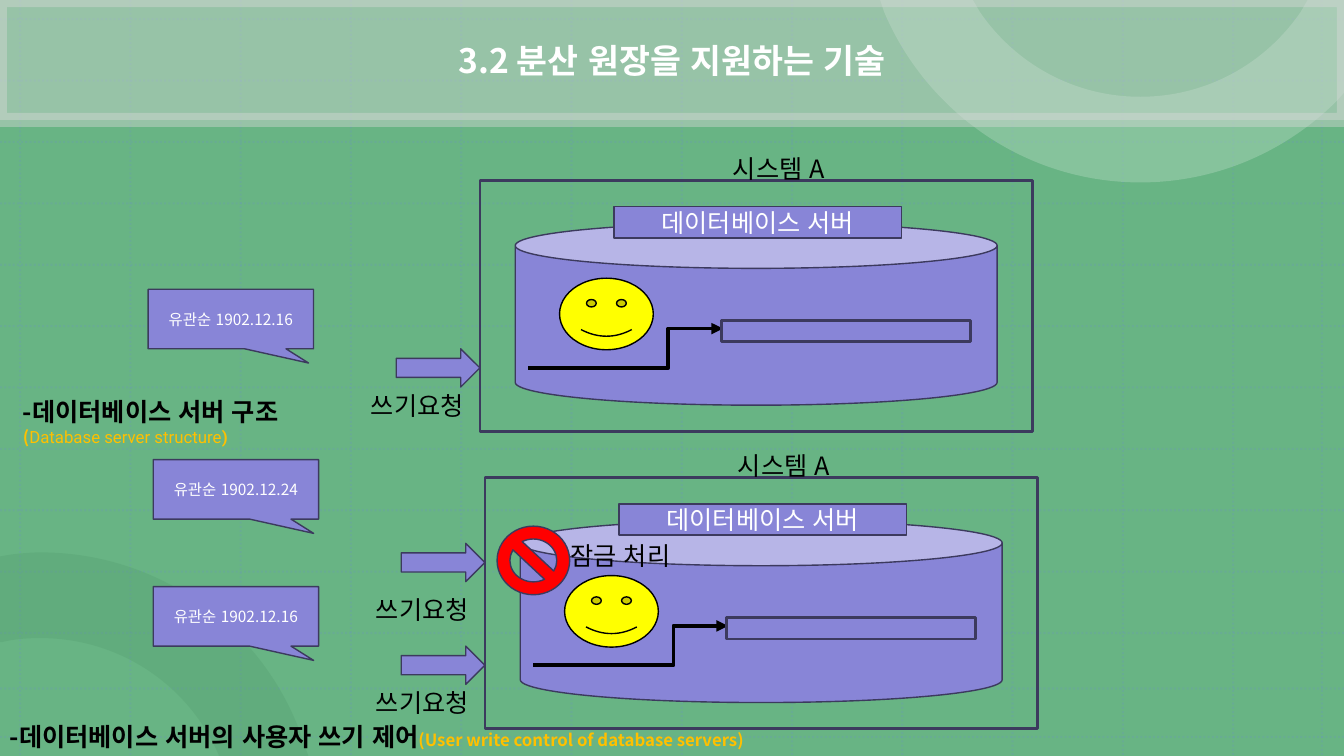
"""Draw the slide on database servers and write control."""
from pptx import Presentation
from pptx.dml.color import RGBColor as RGB
from pptx.enum.dml import MSO_LINE as Dash
from pptx.enum.lang import MSO_LANGUAGE_ID as Lang
from pptx.enum.shapes import MSO_CONNECTOR as Link, MSO_SHAPE as Kind
from pptx.enum.text import MSO_ANCHOR as Anchor, MSO_AUTO_SIZE as Auto, PP_ALIGN as Align
from pptx.oxml.ns import qn
from pptx.oxml.xmlchemy import OxmlElement as Node
from pptx.util import Inches, Pt

WIDE, HIGH = 13.33, 7.5
FONT = "Noto Sans CJK KR"
LILAC, NAVY, BLACK, WHITE, GOLD = "8885D7", "3C3A5E", "000000", "FFFFFF", "FFC000"
LOW = [[(0.4, 5.48)], [(1.64, 5.48), (2.69, 6.3), (3.03, 7.42)], [(3.06, 7.5)],
       [(2.17, 7.5)], [(2.17, 7.49)], [(1.88, 6.81), (1.2, 6.33), (0.4, 6.33)],
       [(0.27, 6.33), (0.14, 6.34), (0.02, 6.37)], [(0, 6.37)], [(0, 5.52)],
       [(0.12, 5.5)], [(0.21, 5.49), (0.31, 5.48), (0.4, 5.48)]]
TOP = [[(8.73, 0)], [(9.65, 0)], [(9.72, 0.12)],
       [(10.07, 0.63), (10.65, 0.96), (11.31, 0.96)],
       [(11.97, 0.96), (12.55, 0.63), (12.9, 0.12)], [(12.97, 0)], [(13.33, 0)],
       [(13.33, 0.92)], [(13.26, 1)], [(12.76, 1.5), (12.07, 1.81), (11.31, 1.81)],
       [(10.17, 1.81), (9.19, 1.11), (8.77, 0.12)]]


def color(code):
    return RGB.from_string(code)


def fade(item, share):
    for tone in item._element.spPr.iter(qn("a:srgbClr")):
        alpha = Node("a:alpha")
        alpha.set("val", str(share * 1000))
        tone.append(alpha)


def write(para, text, size=18, tint=BLACK, bold=False, face=FONT):
    run = para.add_run()
    run.text = text
    font = run.font
    font.size, font.bold, font.name = Pt(size), bold, face
    font.language_id = Lang.KOREAN
    font.color.rgb = color(tint)
    east = Node("a:ea")
    east.set("typeface", face)
    font._element.append(east)


class Art:
    def __init__(self, slide):
        self.slide = slide
        self.group()

    def group(self, new=False, dx=0, dy=0):
        tree = self.slide.shapes
        self.to = tree.add_group_shape().shapes if new else tree
        self.dx, self.dy = dx, dy

    def place(self, x, y):
        return Inches(x + self.dx), Inches(y + self.dy)

    def paint(self, item, fill, edge, width, share):
        item.shadow.inherit = False
        if fill:
            item.fill.solid()
            item.fill.fore_color.rgb = color(fill)
        else:
            item.fill.background()
        if edge:
            item.line.color.rgb = color(edge)
            item.line.width = Pt(width)
        else:
            item.line.fill.background()
        if share:
            fade(item, share)

    def shape(self, kind, x, y, w, h, fill=LILAC, edge=NAVY, width=1,
              share=None, bends=(), text=None, **style):
        item = self.to.add_shape(kind, *self.place(x, y), Inches(w), Inches(h))
        for i, bend in enumerate(bends):
            item.adjustments[i] = bend
        self.paint(item, fill, edge, width, share)
        if text:
            frame = item.text_frame
            frame.vertical_anchor = Anchor.MIDDLE
            para = frame.paragraphs[0]
            para.alignment = Align.CENTER
            write(para, text, **{"tint": WHITE, **style})

    def label(self, x, y, w, h, *rows):
        frame = self.to.add_textbox(*self.place(x, y), Inches(w), Inches(h)).text_frame
        frame.word_wrap = True
        frame.auto_size = Auto.SHAPE_TO_FIT_TEXT
        for i, row in enumerate(rows):
            para = frame.add_paragraph() if i else frame.paragraphs[0]
            for text, style in row:
                write(para, text, **style)

    def line(self, kind, start, end, tint, width):
        item = self.to.add_connector(kind, *self.place(*start), *self.place(*end))
        item.line.color.rgb = color(tint)
        item.line.width = Pt(width)
        item._element.spPr.append(Node("a:effectLst"))
        return item

    def dots(self, start, end):
        item = self.line(Link.STRAIGHT, start, end, "6A90CE", 1.5)
        item.line.dash_style = Dash.ROUND_DOT
        fade(item, 20)

    def elbow(self, start, end, bend):
        item = self.line(Link.ELBOW, start, end, BLACK, 2.75)
        guide = Node("a:gd")
        guide.set("name", "adj1")
        guide.set("fmla", f"val {round(bend * 100000)}")
        item._element.spPr.find(qn("a:prstGeom")).get_or_add_avLst().append(guide)
        tail = Node("a:tailEnd")
        tail.set("type", "triangle")
        item.line._get_or_add_ln().append(tail)

    def ring(self, steps, fill, share):
        dots = [self.place(*dot) for step in steps for dot in step]
        form = self.to.build_freeform(*dots[0])
        form.add_line_segments(dots[1:])
        item = form.convert_to_shape()
        legs = iter(list(item._element.spPr.iter(qn("a:lnTo"))))
        for step in steps[1:]:
            part = [next(legs) for dot in step]
            if len(part) == 3:
                curve = Node("a:cubicBezTo")
                part[0].addprevious(curve)
                for leg in part:
                    curve.append(leg[0])
                    leg.getparent().remove(leg)
        self.paint(item, fill, None, 0, share)

    def arrow(self, x, y):
        self.shape(Kind.RIGHT_ARROW, x, y, 0.83, 0.38)

    def request(self, x, y):
        self.label(x, y, 1.41, 0.4, [("쓰기요청", {})])

    def bubble(self, x, y, text):
        self.shape(Kind.RECTANGULAR_CALLOUT, x, y, 1.64, 0.59,
                   bends=(0.47, 0.74), text=text, size=11)

    def server(self, dx=0, dy=0):
        self.group(True, dx, dy)
        self.shape(Kind.CAN, 5.11, 2.21, 4.78, 1.81)
        self.shape(Kind.SMILEY_FACE, 5.55, 2.76, 0.93, 0.71, "FFFF00", BLACK)
        self.shape(Kind.RECTANGLE, 6.09, 2.05, 2.85, 0.31, text="데이터베이스 서버")
        self.shape(Kind.RECTANGLE, 4.76, 1.79, 5.48, 2.49, None, width=2)
        self.label(7.17, 1.47, 1.53, 0.29, [("시스템 A", {})])
        self.arrow(3.93, 3.46)
        self.request(3.58, 3.82)
        self.elbow((5.24, 3.65), (7.17, 3.26), 0.72)
        self.shape(Kind.RECTANGLE, 7.16, 3.18, 2.47, 0.21, None, width=2)
        self.bubble(1.47, 2.87, "유관순 1902.12.16")
        self.group()

    def scene(self):
        self.shape(Kind.RECTANGLE, 0, 0, WIDE, HIGH, "68B484", None)
        self.group(True)
        self.dots((0, 7.31), (WIDE, 7.31))
        for x in [13.11] + [0.2 + 12.03 * i / 11 for i in range(12)]:
            self.dots((x, 0), (x, HIGH))
        for y in [0.19 + 6.09 * i / 10 for i in range(11)] + [6.83]:
            self.dots((0, y), (WIDE, y))
        self.group()
        self.ring(LOW, "478E61", 20)
        self.ring(TOP, "A4D2B5", 50)
        self.shape(Kind.RECTANGLE, 0, 0, WIDE, 1.19, "D9D9D9", "D9D9D9", 10, 42,
                   text="3.2 분산 원장을 지원하는 기술", size=24, bold=True)


def main():
    deck = Presentation()
    deck.slide_width, deck.slide_height = Inches(WIDE), Inches(HIGH)
    art = Art(deck.slides.add_slide(deck.slide_layouts[6]))
    art.scene()
    head = {"bold": True}
    note = {"size": 12, "tint": GOLD, "bold": True}
    art.server()
    art.label(0.13, 3.88, 13.2, 0.61,
              [("-데이터베이스 서버 구조", head)],
              [("(", note),
               ("Database server structure", {**note, "bold": False, "face": "Roboto"}),
               (")", {**note, "face": "Roboto"})])
    art.server(0.05, 2.95)
    art.bubble(1.52, 4.56, "유관순 1902.12.24")
    art.arrow(3.98, 5.39)
    art.request(3.63, 5.85)
    art.shape(Kind.NO_SYMBOL, 4.93, 5.22, 0.72, 0.68, "FF0000")
    art.label(5.56, 5.31, 1.41, 0.4, [("잠금 처리", {})])
    art.label(0, 7.11, 13.2, 0.4,
              [("-데이터베이스 서버의 사용자 쓰기 제어", head),
               ("(User write control of database servers)", note)])
    deck.save("out.pptx")


if __name__ == "__main__":
    main()
